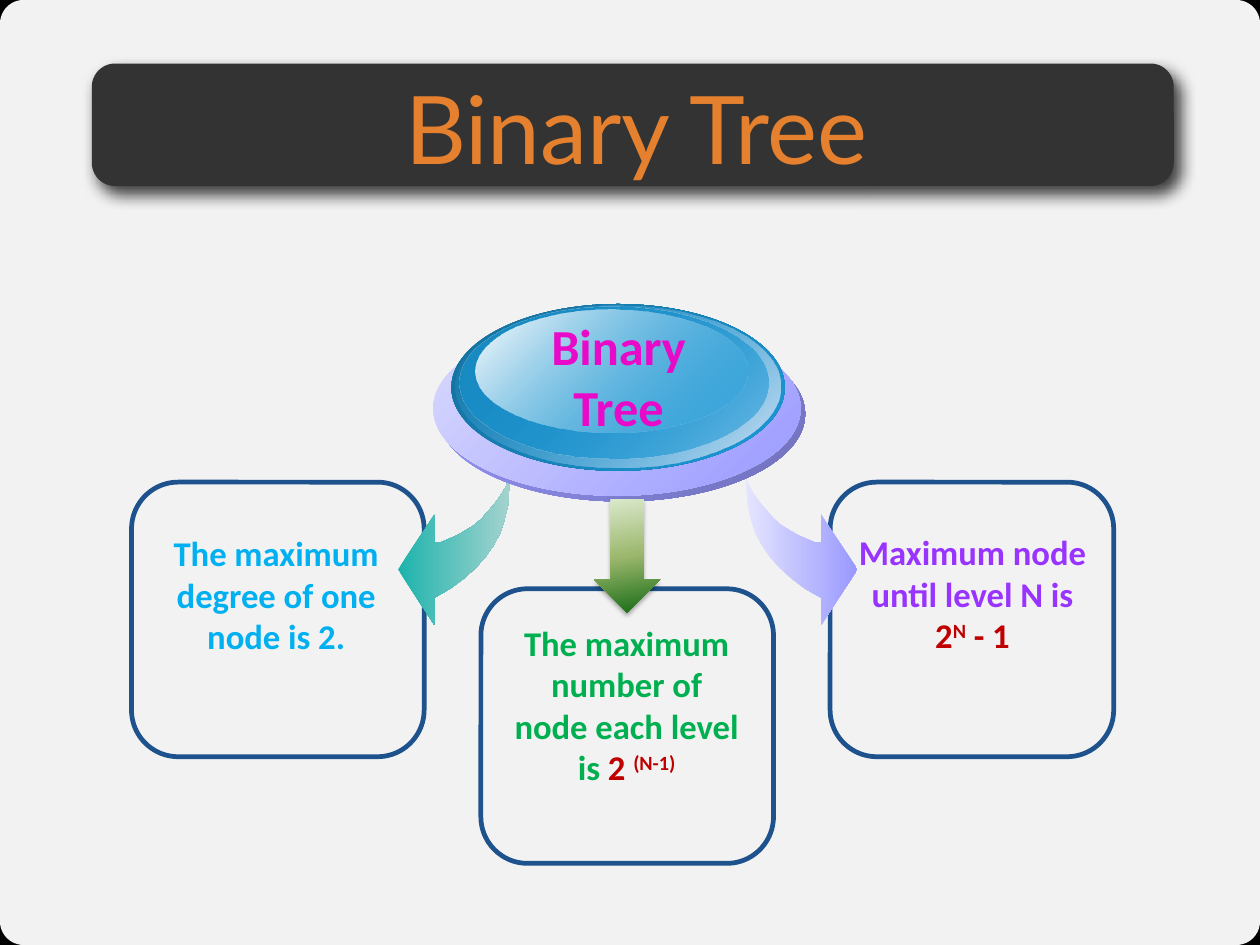
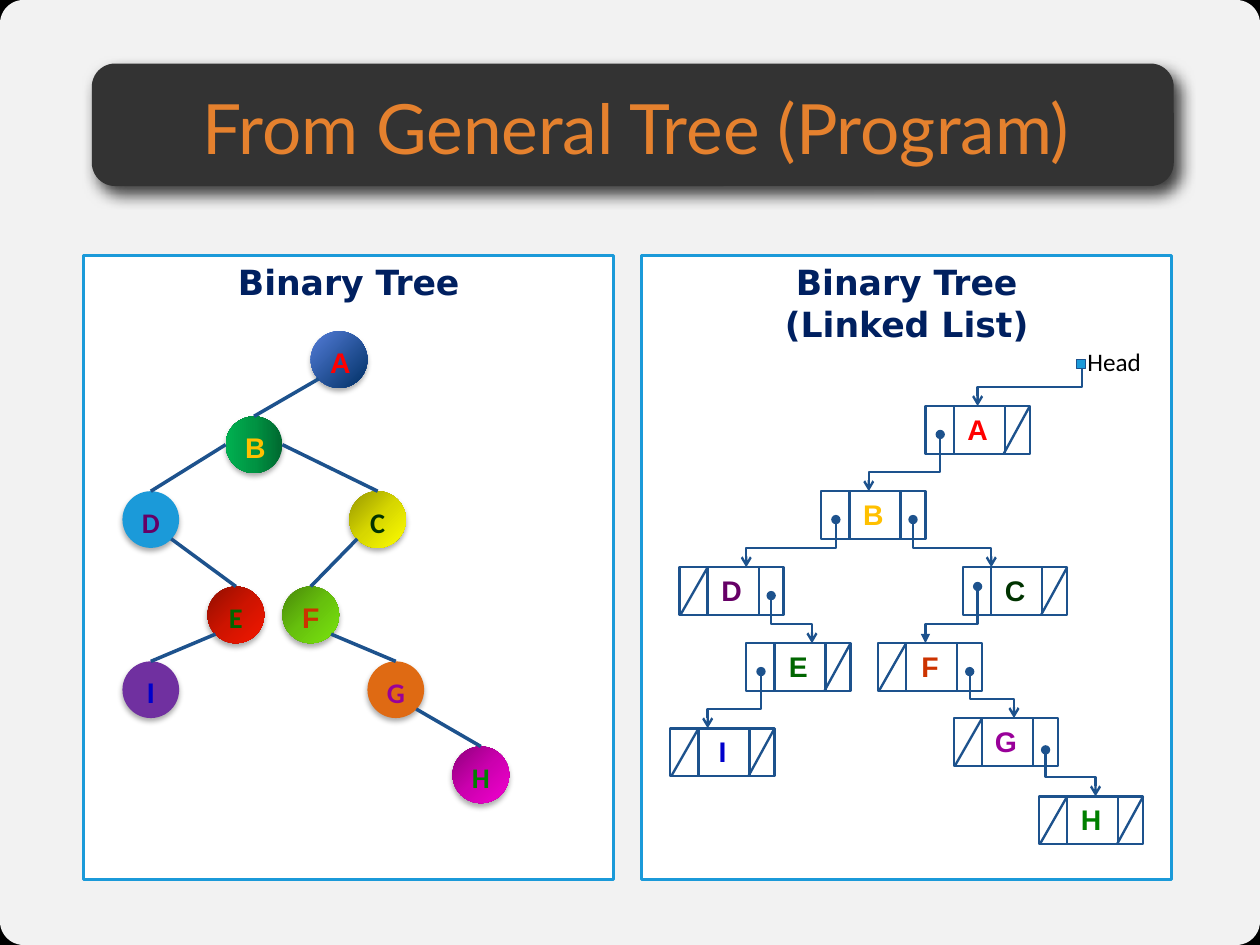
from dataclasses import dataclass
from typing import Any, Optional, Union

import lxml.etree
import pptx
import pptx.dml.color
import pptx.enum.shapes
import pptx.enum.text
import pptx.oxml.ns
import pptx.util

Color = pptx.dml.color.RGBColor
Preset = pptx.enum.shapes.MSO_SHAPE
Wire = pptx.enum.shapes.MSO_CONNECTOR
Anchor = pptx.enum.text.MSO_ANCHOR
Align = pptx.enum.text.PP_ALIGN
rgb = Color.from_string

# Shared colours
BLACK = rgb("000000")
WHITE = rgb("FFFFFF")
BAND = rgb("333333")
TITLE = rgb("E5812E")
NAVY = rgb("1D528D")
SKY = rgb("1B9AD9")
HEADING = rgb("002060")
LAVENDER = rgb("9999FF")
FORMULA = rgb("C00000")


# Descriptions of the repeated elements
@dataclass(frozen=True)
class Gradient:
    colors: tuple[Color, ...]
    angle: float = 45
    alphas: tuple[int, ...] = (100, 100, 100)


@dataclass(frozen=True)
class Shadow:
    alpha: int
    blur: float
    distance: float
    direction: int


@dataclass(frozen=True)
class Run:
    text: str
    color: Optional[Color] = None
    superscript: bool = False


@dataclass(frozen=True)
class Style:
    size: float
    font: str
    color: Color
    bold: bool = True
    align: Any = Align.CENTER


@dataclass(frozen=True)
class Box:
    left: float
    top: float
    width: float
    height: float


@dataclass(frozen=True)
class Node:
    color: Color
    circle: tuple[float, float]
    fill: Union[Color, Gradient]
    cell: tuple[float, float]
    empty: str = ""
    font: str = "Calibri"


@dataclass(frozen=True)
class Link:
    parent: str
    child: str
    site: str
    side: str
    landing: float
    drop: float = 0.25
    tail: str = "arrow"


Fill = Union[Color, Gradient, None]


# Drawing functions; positions count in units of 2.54 cm
def length(units: float) -> int:
    return pptx.util.Cm(2.54 * units)


def assign(target: Any, values: dict[str, Any]) -> None:
    for name, value in values.items():
        setattr(target, name, value)


def add_xml(parent: Any, tag: str, **attributes: Any) -> Any:
    texts = {name: str(value) for name, value in attributes.items()}
    return lxml.etree.SubElement(parent, pptx.oxml.ns.qn(tag), texts)


def find_xml(shape: Any, tag: str) -> Any:
    return shape._element.spPr.find(".//" + pptx.oxml.ns.qn(tag))


def paint(shape: Any, fill: Fill, line: Optional[Color] = None, width: float = 1,
          shadow: Optional[Shadow] = None) -> None:
    if isinstance(fill, Gradient):
        shape.fill.gradient()
        shape.fill.gradient_angle = -fill.angle % 360
        stops = find_xml(shape, "a:gsLst")
        for stop in list(stops):
            stops.remove(stop)
        for index, color in enumerate(fill.colors):
            stop = add_xml(stops, "a:gs", pos=100000 * index // (len(fill.colors) - 1))
            tone = add_xml(stop, "a:srgbClr", val=color)
            if fill.alphas[index] < 100:
                add_xml(tone, "a:alpha", val=fill.alphas[index] * 1000)
    elif fill is None:
        shape.fill.background()
    else:
        shape.fill.solid()
        shape.fill.fore_color.rgb = fill
    if line is None:
        shape.line.fill.background()
    else:
        shape.line.color.rgb = line
        shape.line.width = pptx.util.Pt(width)
    shape.shadow.inherit = False
    if shadow:
        outer = add_xml(find_xml(shape, "a:effectLst"), "a:outerShdw",
                        blurRad=pptx.util.Pt(shadow.blur), dist=pptx.util.Pt(shadow.distance),
                        dir=shadow.direction * 60000, algn="ctr", rotWithShape=0)
        add_xml(add_xml(outer, "a:srgbClr", val=BLACK), "a:alpha", val=shadow.alpha * 1000)


def write(frame: Any, paragraphs: list[list[Run]], style: Style, anchor: Any = Anchor.TOP) -> None:
    assign(frame, {"word_wrap": True, "vertical_anchor": anchor})
    for index, runs in enumerate(paragraphs):
        paragraph = frame.paragraphs[0] if index == 0 else frame.add_paragraph()
        paragraph.alignment = style.align
        for part in runs:
            run = paragraph.add_run()
            run.text = part.text
            assign(run.font, {"size": pptx.util.Pt(style.size), "name": style.font,
                              "bold": style.bold})
            run.font.color.rgb = part.color or style.color
            if part.superscript:
                run._r.get_or_add_rPr().set("baseline", "30000")


def add_box(slide: Any, preset: Any, box: Box, fill: Fill, adjustment: Optional[float] = None,
            **look: Any) -> Any:
    shape = slide.shapes.add_shape(preset, length(box.left), length(box.top),
                                   length(box.width), length(box.height))
    if adjustment is not None:
        shape.adjustments[0] = adjustment
    paint(shape, fill, **look)
    return shape


def add_text(slide: Any, box: Box, paragraphs: list[list[Run]], style: Style) -> Any:
    textbox = slide.shapes.add_textbox(length(box.left), length(box.top),
                                       length(box.width), length(box.height))
    write(textbox.text_frame, paragraphs, style)
    return textbox


def add_line(slide: Any, start: tuple[float, float], end: tuple[float, float],
             width: float = 1.5, kind: Any = Wire.STRAIGHT, head: str = "none",
             tail: str = "none") -> Any:
    connector = slide.shapes.add_connector(kind, *map(length, start + end))
    connector.line.color.rgb = NAVY
    connector.line.width = pptx.util.Pt(width)
    outline = find_xml(connector, "a:ln")
    add_xml(outline, "a:headEnd", type=head, w="med", len="med")
    add_xml(outline, "a:tailEnd", type=tail, w="med", len="med")
    add_xml(connector._element.spPr, "a:effectLst")
    return connector


def add_pointer(slide: Any, start: tuple[float, float], end: tuple[float, float],
                head: str, tail: str) -> None:
    """Elbow that leaves downwards and turns 0.17 above its end: a turned level elbow."""
    rise, run = end[1] - start[1], end[0] - start[0]
    middle_x, middle_y = (start[0] + end[0]) / 2, (start[1] + end[1]) / 2
    half = rise / 2 if run > 0 else -rise / 2
    connector = add_line(slide, (middle_x + half, middle_y - abs(run) / 2),
                         (middle_x - half, middle_y + abs(run) / 2),
                         kind=Wire.ELBOW, head=head, tail=tail)
    find_xml(connector, "a:xfrm").set("rot", str((270 if run > 0 else 90) * 60000))
    add_xml(find_xml(connector, "a:avLst"), "a:gd", name="adj1",
            fmla=f"val {round(100000 * (1 - 0.17 / rise))}")


def add_page(presentation: Any, title: str, size: float) -> Any:
    slide = presentation.slides.add_slide(presentation.slide_layouts[6])
    slide.background.fill.solid()
    slide.background.fill.fore_color.rgb = BLACK
    page = add_box(slide, Preset.ROUNDED_RECTANGLE, Box(0, 0, 11.11, 8.33), WHITE, 0.025)
    add_xml(find_xml(page, "a:srgbClr"), "a:alpha", val=95000)
    add_box(slide, Preset.ROUNDED_RECTANGLE, Box(0.81, 0.56, 9.54, 1.08), BAND, 0.19,
            shadow=Shadow(75, 10, 6, 51))
    frame = add_text(slide, Box(0.86, 0.62, 9.5, 1), [[Run(title)]],
                     Style(size, "Lato", TITLE, bold=False)).text_frame
    assign(frame, {"margin_left": 0, "margin_right": 0, "margin_top": 0, "margin_bottom": 0,
                   "vertical_anchor": Anchor.MIDDLE})
    return slide


presentation = pptx.Presentation()
assign(presentation, {"slide_width": length(11.11), "slide_height": length(8.33)})

# Slide 1: properties of a binary tree
slide = add_page(presentation, "Binary Tree", 60)


def add_frame(box: Box) -> None:
    add_box(slide, Preset.ROUNDED_RECTANGLE, box, None, 0.17, line=NAVY, width=3)


add_frame(Box(7.32, 4.25, 2.5, 2.42))
add_frame(Box(1.16, 4.25, 2.58, 2.42))

# Curved arrows, mirrored about the disc
CURVE = [(0, 0), (0.01, 0.15), (0.02, 0.3), (0.05, 0.43), (0.09, 0.55), (0.15, 0.66),
         (0.22, 0.76), (0.31, 0.86), (0.41, 0.95), (0.53, 1.04), (0.67, 1.12), (0.67, 1.36),
         (0.99, 0.87), (0.67, 0.39), (0.67, 0.63), (0.61, 0.63), (0.54, 0.6), (0.47, 0.57),
         (0.4, 0.53), (0.32, 0.48), (0.25, 0.42), (0.19, 0.35), (0.13, 0.28), (0.08, 0.21),
         (0.04, 0.14), (0.01, 0.07)]
for origin, direction, colors in ((4.5, -1, (rgb("1DB3AC"), rgb("A5D3CF"))),
                                  (6.57, 1, (rgb("E5E5FF"), LAVENDER))):
    points = [(length(origin + direction * x), length(4.15 + y)) for x, y in CURVE]
    builder = slide.shapes.build_freeform(*points[0], scale=1.0)
    builder.add_line_segments(points[1:], close=True)
    paint(builder.convert_to_shape(), Gradient(colors, 0))

# Layered disc
for box, fill in (
    (Box(3.86, 2.88, 3.24, 1.54), Gradient((LAVENDER, rgb("7070BA")))),
    (Box(3.82, 2.83, 3.24, 1.54), Gradient((rgb("DADAFF"), LAVENDER))),
    (Box(3.98, 2.68, 2.94, 1.47), Gradient((rgb("136E9B"), SKY))),
    (Box(4.02, 2.69, 2.86, 1.43), Gradient((SKY, rgb("D4E2F3")), alphas=(0, 100))),
    (Box(4.05, 2.7, 2.73, 1.34), Gradient((rgb("188BC4"), SKY), alphas=(100, 48))),
    (Box(4.19, 2.73, 2.4, 1.08), Gradient((WHITE, SKY), alphas=(100, 38))),
):
    add_box(slide, Preset.OVAL, box, fill)
add_text(slide, Box(4.57, 2.73, 1.77, 1.18), [[Run("Binary")], [Run("Tree")]],
         Style(32, "Calibri", rgb("E909C9")))

# Statements
add_frame(Box(4.24, 5.19, 2.58, 2.42))
add_box(slide, Preset.DOWN_ARROW, Box(5.24, 4.4, 0.58, 1),
        Gradient((rgb("DDEBCF"), rgb("9CB86E"), rgb("156B13")), 80),
        shadow=Shadow(35, 3.1, 1.8, 90))
for box, color, paragraphs in (
    (Box(1.32, 4.64, 2.23, 1.58), rgb("00B0F0"), [[Run("The maximum degree of one node is 2.")]]),
    (Box(7.46, 4.63, 2.23, 1.58), rgb("9933FF"),
     [[Run("Maximum node until level N is")],
      [Run("2", FORMULA), Run("N", FORMULA, True), Run(" - 1", FORMULA)]]),
    (Box(4.41, 5.43, 2.23, 1.95), rgb("00B050"),
     [[Run("The maximum number of node each level is "), Run("2 ", FORMULA),
       Run("(N-1)", FORMULA, True)]]),
):
    add_text(slide, box, paragraphs, Style(22, "Calibri", color))

# Slide 2: the tree and its linked list
slide = add_page(presentation, "From General Tree (Program)", 44)
for left, lines in ((0.74, ["Binary Tree"]), (5.66, ["Binary Tree", "(Linked List)"])):
    panel = add_box(slide, Preset.RECTANGLE, Box(left, 2.25, 4.67, 5.5), WHITE, line=SKY, width=2)
    write(panel.text_frame, [[Run(line)] for line in lines], Style(22, "DejaVu Sans", HEADING))

NODES = {
    "A": Node(rgb("FF0000"), (2.74, 2.92), Gradient((rgb("547DD8"), rgb("003065"))),
              (8.16, 3.58), "right", "Arial"),
    "B": Node(rgb("FFC000"), (1.99, 3.67),
              Gradient((rgb("00682F"), rgb("009443"), rgb("00B050")), 180),
              (7.24, 4.33), font="Arial"),
    "C": Node(rgb("003300"), (3.08, 4.33),
              Gradient((rgb("979700"), rgb("D7D700"), rgb("FFFF00"))), (8.49, 5), "right"),
    "D": Node(rgb("660066"), (1.08, 4.33), SKY, (5.99, 5), "left"),
    "E": Node(rgb("006600"), (1.83, 5.17),
              Gradient((rgb("910E00"), rgb("CE1400"), rgb("F41700"))), (6.58, 5.67), "right"),
    "F": Node(rgb("CC3300"), (2.49, 5.17),
              Gradient((rgb("488809"), rgb("67C10D"), rgb("7AE50F"))),
              (7.74, 5.67), "left", "Arial"),
    "G": Node(rgb("990099"), (3.24, 5.83), rgb("DF6A13"), (8.41, 6.33), "left"),
    "H": Node(rgb("008000"), (3.99, 6.58),
              Gradient((rgb("8F007B"), rgb("CC00AF"), rgb("F200CF"))), (9.16, 7.02), "left right"),
    "I": Node(rgb("0000CC"), (1.08, 5.83), rgb("7030A0"), (5.91, 6.42), "left right", "Arial"),
}
LINKS = [
    Link("A", "B", "lower left", "left", 0.42), Link("B", "D", "left", "left", 0.59),
    Link("B", "C", "right", "right", 0.25), Link("D", "E", "lower right", "right", 0.58),
    Link("C", "F", "lower left", "left", 0.42, 0.17, "triangle"),
    Link("E", "I", "lower left", "left", 0.33), Link("F", "G", "lower right", "right", 0.53),
    Link("G", "H", "lower right", "right", 0.5, 0.28),
]
SITES = {"left": (0, 0.25), "right": (0.5, 0.25),
         "lower left": (0.07, 0.42), "lower right": (0.43, 0.42)}
DOTS = {"left": 0.13, "right": 0.81}
SLASHES = {"left": (0.25, 0.01), "right": (0.92, 0.69)}

# Circles and three-part cells
for letter, node in NODES.items():
    circle = add_box(slide, Preset.OVAL, Box(*node.circle, 0.5, 0.5), node.fill,
                     shadow=Shadow(32, 3.5, 2.2, 90))
    write(circle.text_frame, [[Run(letter)]], Style(18, node.font, node.color))
    x, y = node.cell
    cell = add_box(slide, Preset.RECTANGLE, Box(x, y, 0.92, 0.42), None, line=NAVY, width=1.5)
    write(cell.text_frame, [[Run(letter)]], Style(18, "Arial", node.color))
    strokes = [(0.25, 0.25), (0.7, 0.7)] + [SLASHES[side] for side in node.empty.split()]
    for upper, lower in strokes:
        add_line(slide, (x + upper, y), (x + lower, y + 0.42))

# Branches and pointers
for link in LINKS:
    parent, child = NODES[link.parent], NODES[link.child]
    dx, dy = SITES[link.site]
    add_line(slide, (parent.circle[0] + dx, parent.circle[1] + dy),
             (child.circle[0] + 0.25, child.circle[1]), 2.25)
    add_pointer(slide, (parent.cell[0] + DOTS[link.side], parent.cell[1] + link.drop),
                (child.cell[0] + link.landing, child.cell[1]), "oval", link.tail)

# Head of the list
add_box(slide, Preset.RECTANGLE, Box(9.49, 3.17, 0.08, 0.08), SKY, line=NAVY, width=0.75)
add_pointer(slide, (9.54, 3.25), (8.62, 3.58), "none", "arrow")
add_text(slide, Box(9.49, 3, 0.83, 0.37), [[Run("Head")]],
         Style(16, "Calibri", BLACK, bold=False, align=Align.LEFT))

presentation.save("out.pptx")
